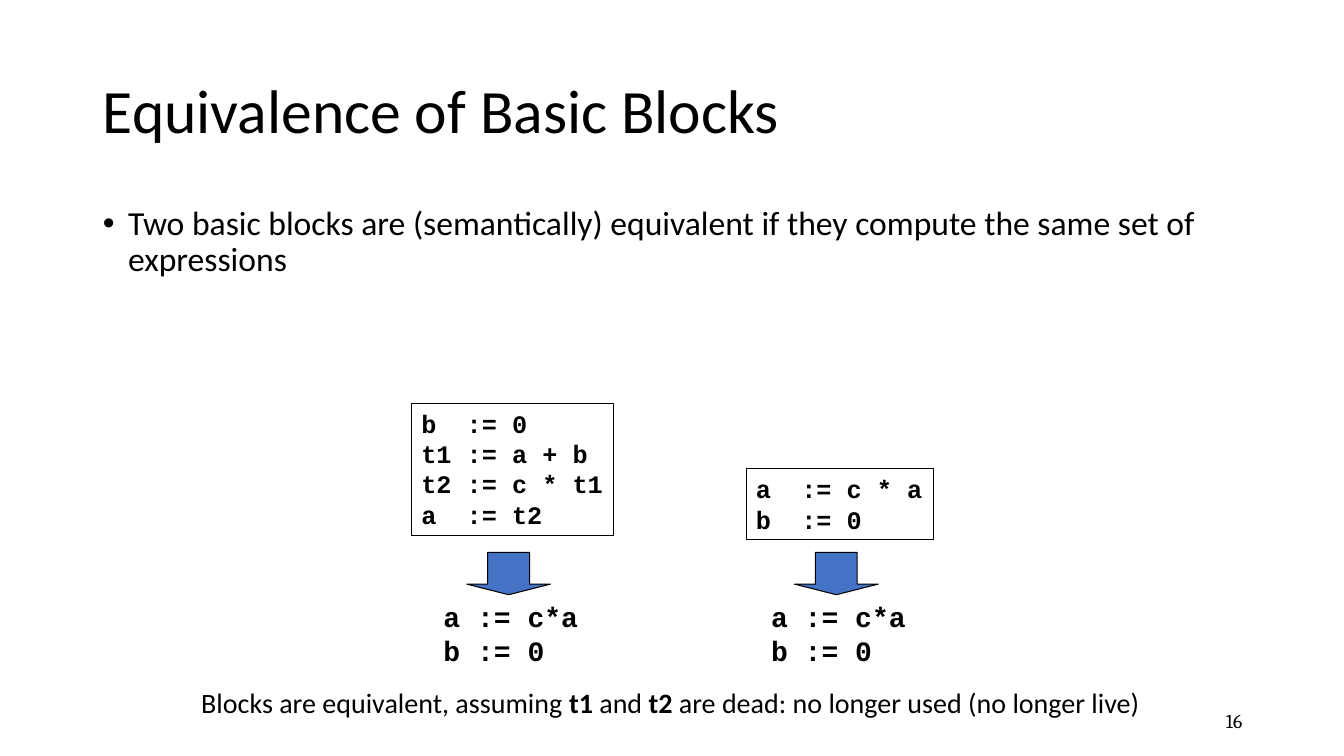
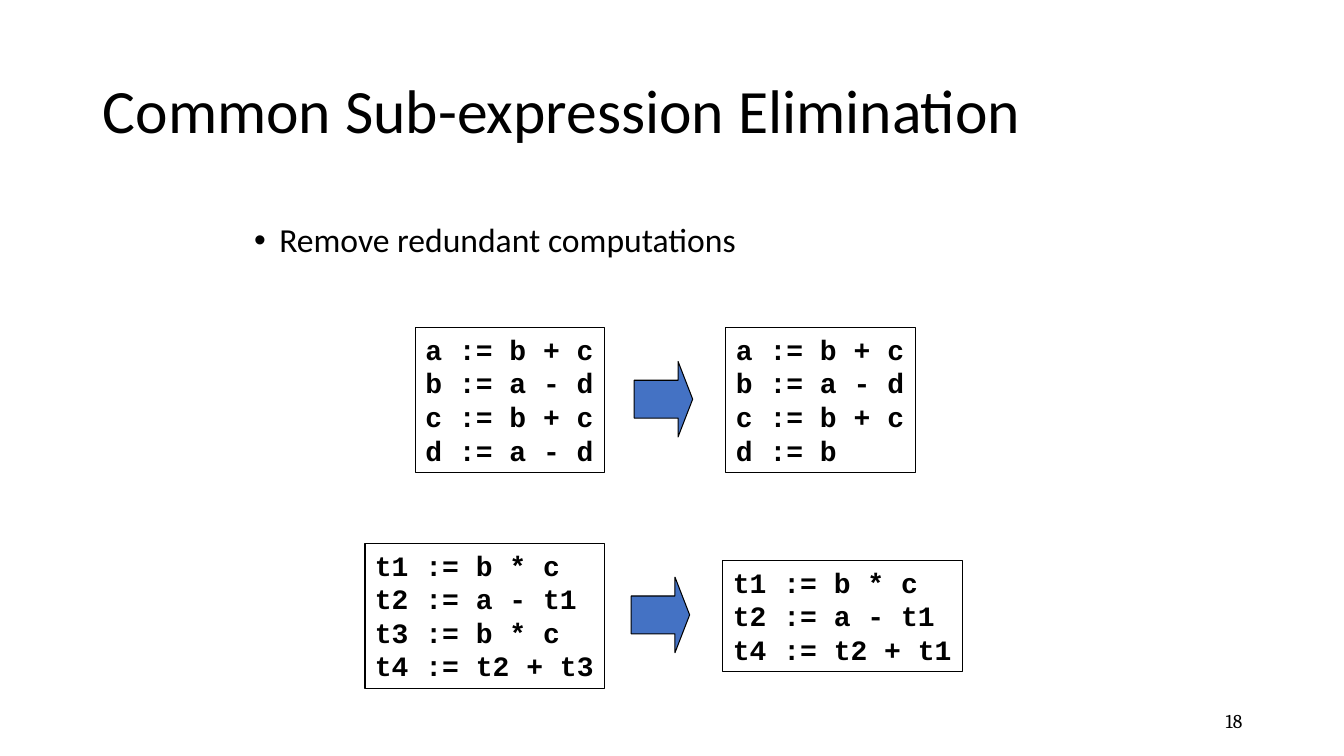
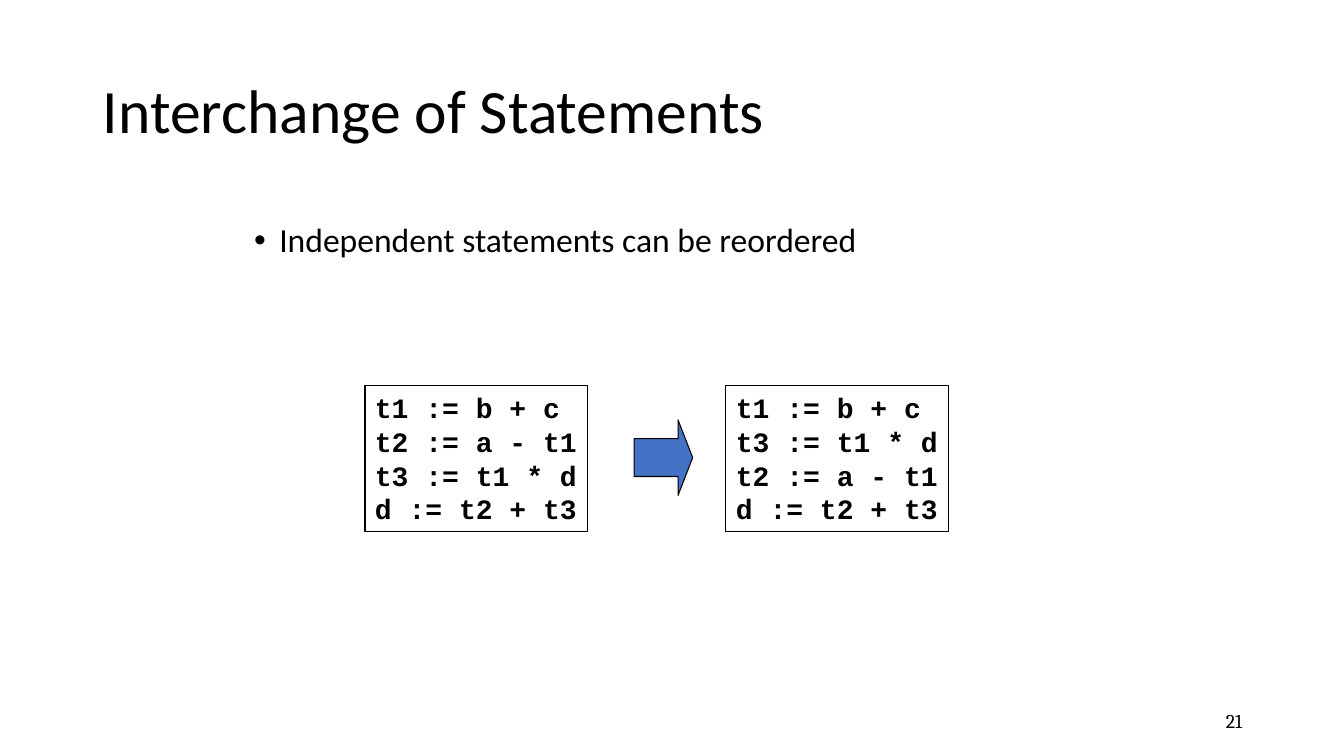
from dataclasses import dataclass

from lxml.etree import SubElement
from pptx import Presentation
from pptx.dml.color import RGBColor
from pptx.enum.shapes import MSO_SHAPE
from pptx.enum.text import MSO_ANCHOR, MSO_AUTO_SIZE, PP_ALIGN
from pptx.oxml.ns import qn
from pptx.presentation import Presentation as Deck
from pptx.slide import Slide
from pptx.text.text import TextFrame, _Paragraph
from pptx.util import Inches, Pt


@dataclass(frozen=True)
class Theme:
    ink: RGBColor = RGBColor(0x00, 0x00, 0x00)
    accent: RGBColor = RGBColor(0x44, 0x72, 0xC4)
    text_font: str = "Calibri"
    code_font: str = "Courier New"
    number_font: str = "Cambria"
    title_size: float = 44
    body_size: float = 24
    code_size: float = 20
    small_code_size: float = 18
    caption_size: float = 20
    number_size: float = 14
    outline: float = 0.75


@dataclass(frozen=True)
class Area:
    left: float
    top: float
    width: float
    height: float


@dataclass(frozen=True)
class CodeBlock:
    code: str
    size: float
    framed: bool = True

    @property
    def width(self) -> float:
        longest = max(len(line) for line in self.code.split("\n"))
        return 0.6 * self.size / 72 * longest + 0.21

    @property
    def height(self) -> float:
        return 1.21 * self.size / 72 * len(self.code.split("\n")) + 0.1


@dataclass(frozen=True)
class Rewrite:
    """Code before and after an optimisation, centred on one line."""
    middle: float
    before_left: float
    after_left: float
    before: str
    after: str


@dataclass(frozen=True)
class Evaluation:
    """A basic block with the expressions it computes."""
    block_left: float
    block_top: float
    result_left: float
    code: str


THEME = Theme()
TITLE_AREA = Area(0.92, 0.4, 11.5, 1.45)
NUMBER_AREA = Area(9.42, 6.95, 3, 0.4)
CAPTION_AREA = Area(1.86, 6.75, 9.58, 0.44)
BULLET_INDENT = 0.25
COMPUTED = "a := c*a\nb := 0"


# Shared building blocks
def place(shape, area: Area) -> None:
    shape.left, shape.top = Inches(area.left), Inches(area.top)
    shape.width, shape.height = Inches(area.width), Inches(area.height)


def add_run(paragraph: _Paragraph, text: str, font: str, size: float,
            bold: bool = False) -> None:
    run = paragraph.add_run()
    run.text = text
    run.font.name = font
    run.font.size = Pt(size)
    run.font.bold = bold
    run.font.color.rgb = THEME.ink


def set_bullet(paragraph: _Paragraph) -> None:
    properties = paragraph._p.get_or_add_pPr()
    properties.set("marL", str(Inches(BULLET_INDENT)))
    properties.set("indent", str(-Inches(BULLET_INDENT)))
    SubElement(properties, qn("a:buFont"), typeface="Arial")
    SubElement(properties, qn("a:buChar"), char="•")


def fill_placeholder(frame: TextFrame, text: str, size: float,
                     anchor: MSO_ANCHOR, bulleted: bool = False) -> None:
    frame.auto_size = MSO_AUTO_SIZE.NONE
    frame.vertical_anchor = anchor
    paragraph = frame.paragraphs[0]
    if bulleted:
        set_bullet(paragraph)
    paragraph.alignment = PP_ALIGN.LEFT
    paragraph.line_spacing = 0.9
    paragraph.space_before = Pt(0)
    add_run(paragraph, text, THEME.text_font, size)


def add_page(deck: Deck, title: str, point: str, point_area: Area,
             number: int) -> Slide:
    slide = deck.slides.add_slide(deck.slide_layouts[1])
    heading, body = slide.shapes.title, slide.placeholders[1]
    place(heading, TITLE_AREA)
    fill_placeholder(heading.text_frame, title, THEME.title_size, MSO_ANCHOR.MIDDLE)
    place(body, point_area)
    fill_placeholder(body.text_frame, point, THEME.body_size, MSO_ANCHOR.TOP, bulleted=True)

    page_number = slide.shapes.add_textbox(0, 0, 0, 0)
    place(page_number, NUMBER_AREA)
    page_number.text_frame.word_wrap = True
    page_number.text_frame.vertical_anchor = MSO_ANCHOR.MIDDLE
    paragraph = page_number.text_frame.paragraphs[0]
    paragraph.alignment = PP_ALIGN.RIGHT
    add_run(paragraph, str(number), THEME.number_font, THEME.number_size)
    return slide


def add_code(slide: Slide, block: CodeBlock, left: float, top: float) -> None:
    area = Area(left, top, block.width, block.height)
    if block.framed:
        box = slide.shapes.add_shape(MSO_SHAPE.RECTANGLE, 0, 0, 0, 0)
        box.shadow.inherit = False
        box.fill.background()
        box.line.color.rgb = THEME.ink
        box.line.width = Pt(THEME.outline)
    else:
        box = slide.shapes.add_textbox(0, 0, 0, 0)
    place(box, area)
    frame = box.text_frame
    frame.word_wrap = False
    frame.auto_size = MSO_AUTO_SIZE.SHAPE_TO_FIT_TEXT
    frame.vertical_anchor = MSO_ANCHOR.TOP
    paragraph = frame.paragraphs[0]
    paragraph.alignment = PP_ALIGN.LEFT
    for index, line in enumerate(block.code.split("\n")):
        if index:
            paragraph.add_line_break()
        add_run(paragraph, line, THEME.code_font, block.size, bold=True)


def add_arrow(slide: Slide, direction: MSO_SHAPE, area: Area) -> None:
    arrow = slide.shapes.add_shape(direction, 0, 0, 0, 0)
    place(arrow, area)
    arrow.adjustments[0], arrow.adjustments[1] = 0.5, 0.25
    arrow.shadow.inherit = False
    arrow.fill.solid()
    arrow.fill.fore_color.rgb = THEME.accent
    arrow.line.color.rgb = THEME.ink
    arrow.line.width = Pt(THEME.outline)


def add_rewrite(slide: Slide, rewrite: Rewrite) -> None:
    for left, code in ((rewrite.before_left, rewrite.before),
                       (rewrite.after_left, rewrite.after)):
        block = CodeBlock(code, THEME.code_size)
        add_code(slide, block, left, rewrite.middle - block.height / 2)
    width, height = 0.58, 0.75
    add_arrow(slide, MSO_SHAPE.RIGHT_ARROW,
              Area(rewrite.after_left - 0.91, rewrite.middle - height / 2 - 0.01,
                   width, height))


def add_evaluation(slide: Slide, evaluation: Evaluation) -> None:
    add_code(slide, CodeBlock(evaluation.code, THEME.small_code_size),
             evaluation.block_left, evaluation.block_top)
    add_arrow(slide, MSO_SHAPE.DOWN_ARROW,
              Area(evaluation.result_left + 0.33, 5.48, 0.83, 0.42))
    add_code(slide, CodeBlock(COMPUTED, THEME.code_size, framed=False),
             evaluation.result_left, 5.9)


# Slides
def add_equivalence(deck: Deck) -> None:
    slide = add_page(
        deck, "Equivalence of Basic Blocks",
        "Two basic blocks are (semantically) equivalent if they compute "
        "the same set of expressions", Area(0.92, 2, 11.5, 4.76), 16)
    for evaluation in (
        Evaluation(4.08, 4, 4.3, "b  := 0\nt1 := a + b\nt2 := c * t1\na  := t2"),
        Evaluation(7.4, 4.65, 7.55, "a  := c * a\nb  := 0"),
    ):
        add_evaluation(slide, evaluation)

    caption = slide.shapes.add_textbox(0, 0, 0, 0)
    place(caption, CAPTION_AREA)
    caption.text_frame.word_wrap = False
    caption.text_frame.auto_size = MSO_AUTO_SIZE.SHAPE_TO_FIT_TEXT
    paragraph = caption.text_frame.paragraphs[0]
    paragraph.alignment = PP_ALIGN.CENTER
    for text, bold in (
        ("Blocks are equivalent, assuming ", False), ("t1", True),
        (" and ", False), ("t2", True),
        (" are dead: no longer used (no longer live)", False),
    ):
        add_run(paragraph, text, THEME.text_font, THEME.caption_size, bold)


def add_elimination(deck: Deck) -> None:
    slide = add_page(deck, "Common Sub-expression Elimination",
                     "Remove redundant computations", Area(2.42, 2.17, 8.5, 0.92), 18)
    for rewrite in (
        Rewrite(3.97, 4.12, 7.2,
                "a := b + c\nb := a - d\nc := b + c\nd := a - d",
                "a := b + c\nb := a - d\nc := b + c\nd := b"),
        Rewrite(6.11, 3.62, 7.17,
                "t1 := b * c\nt2 := a - t1\nt3 := b * c\nt4 := t2 + t3",
                "t1 := b * c\nt2 := a - t1\nt4 := t2 + t1"),
    ):
        add_rewrite(slide, rewrite)


def add_interchange(deck: Deck) -> None:
    slide = add_page(deck, "Interchange of Statements",
                     "Independent statements can be reordered",
                     Area(2.42, 2.17, 8.5, 1.08), 21)
    add_rewrite(slide, Rewrite(
        4.55, 3.62, 7.2,
        "t1 := b + c\nt2 := a - t1\nt3 := t1 * d\nd := t2 + t3",
        "t1 := b + c\nt3 := t1 * d\nt2 := a - t1\nd := t2 + t3"))


def main() -> None:
    deck = Presentation()
    deck.slide_width, deck.slide_height = Inches(13.33), Inches(7.5)
    add_equivalence(deck)
    add_elimination(deck)
    add_interchange(deck)
    deck.save("out.pptx")


if __name__ == "__main__":
    main()
